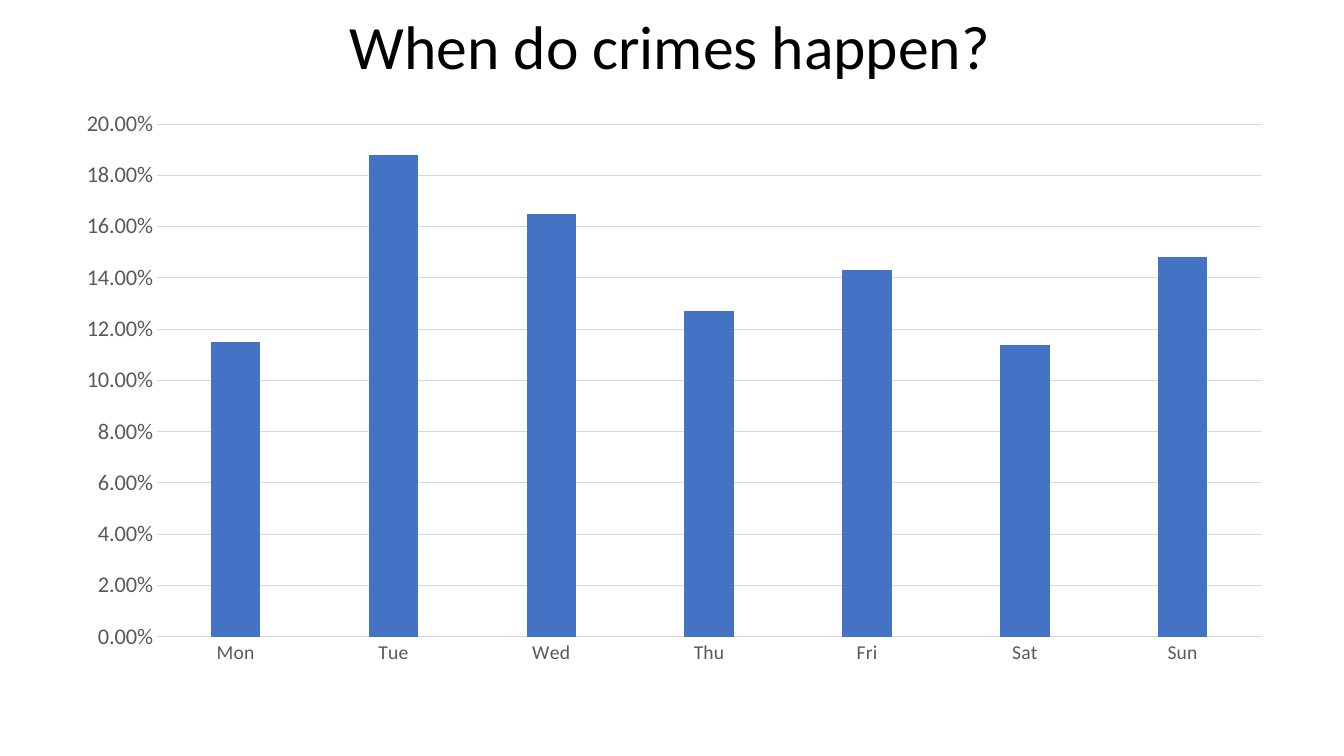
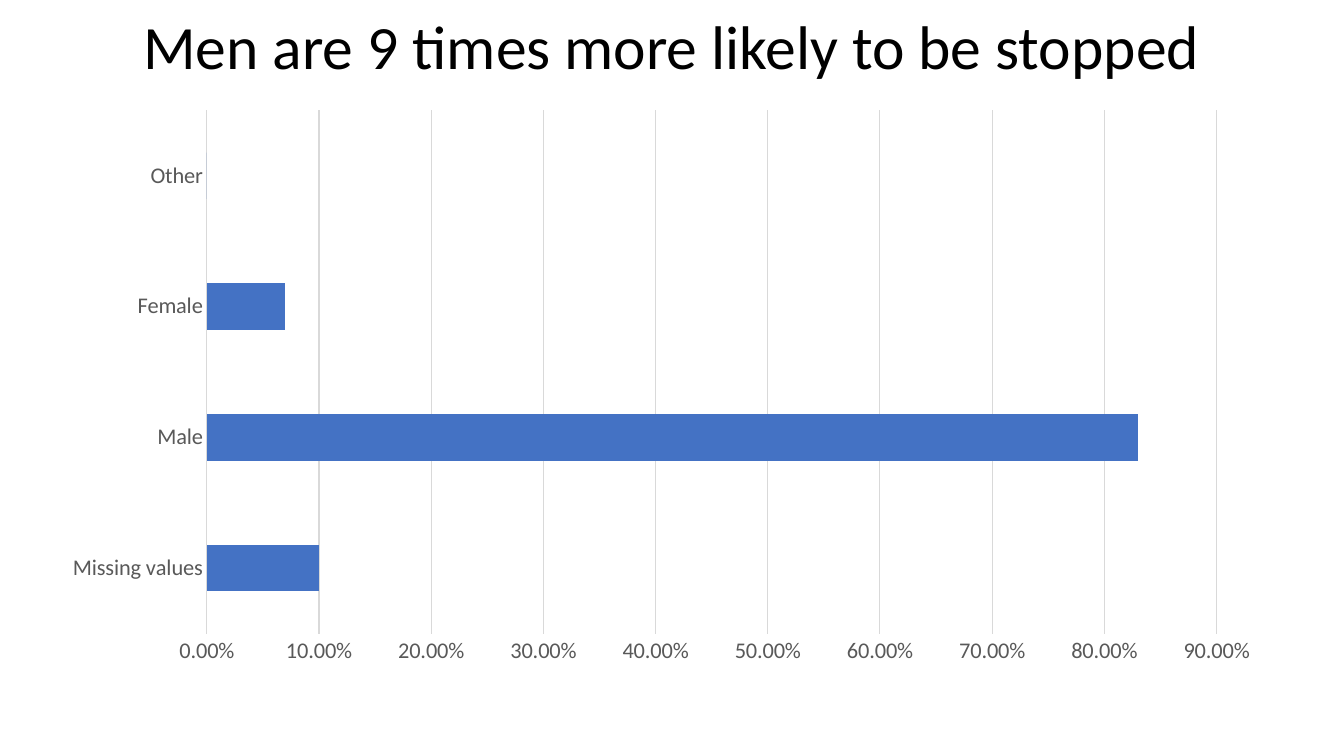
import pptx
import pptx.chart.data
import pptx.dml.color
import pptx.enum.chart
import pptx.enum.text
import pptx.util

Cm, Pt = pptx.util.Cm, pptx.util.Pt
CHART_TYPE = pptx.enum.chart.XL_CHART_TYPE

COLORS = {"title": "000000", "label": "595959", "grid": "D9D9D9", "bar": "4472C4"}
FONT = "Calibri"
SLIDE_W, SLIDE_H = Cm(33.87), Cm(19.05)
BAND_H = Cm(2.49)  # title band, with the chart starting right below it
CHART_H = Cm(14.56)


def rgb(name):
    return pptx.dml.color.RGBColor.from_string(COLORS[name])


def set_attrs(target, values):
    for name, value in values.items():
        setattr(target, name, value)


def style_font(font, size, color):
    set_attrs(font, {"name": FONT, "size": Pt(size), "bold": False})
    font.color.rgb = rgb(color)


def style_line(line):
    line.color.rgb = rgb("grid")
    line.width = Pt(0.75)


def add_title(s, text, left, width):
    """Centred title in the band at the top of the slide."""
    tf = s.shapes.add_textbox(left, 0, width, BAND_H).text_frame
    set_attrs(tf, {"word_wrap": True,
                   "vertical_anchor": pptx.enum.text.MSO_ANCHOR.MIDDLE})
    p = tf.paragraphs[0]
    set_attrs(p, {"alignment": pptx.enum.text.PP_ALIGN.CENTER, "line_spacing": 0.9})
    r = p.add_run()
    r.text = text
    style_font(r.font, 44, "title")


def style_axis(axis, size):
    none = pptx.enum.chart.XL_TICK_MARK.NONE
    set_attrs(axis, {"major_tick_mark": none, "minor_tick_mark": none})
    style_font(axis.tick_labels.font, size, "label")


def add_share_chart(s, kind, left, width, shares, gap, overlap, label_size, top, step):
    """Single-series bar or column chart on a percentage axis."""
    data = pptx.chart.data.CategoryChartData(number_format="0.00%")
    data.categories = list(shares)
    data.add_series("Series 1", list(shares.values()))
    chart = s.shapes.add_chart(kind, left, BAND_H, width, CHART_H, data).chart
    set_attrs(chart, {"has_title": False, "has_legend": False})
    style_font(chart.font, 10, "title")

    # Bars
    plot = chart.plots[0]
    set_attrs(plot, {"gap_width": gap, "overlap": overlap, "vary_by_categories": False})
    fill = plot.series[0].format.fill
    fill.solid()
    fill.fore_color.rgb = rgb("bar")

    # Axes
    style_axis(chart.category_axis, label_size)
    style_line(chart.category_axis.format.line)
    values = chart.value_axis
    style_axis(values, 16)
    set_attrs(values, {"minimum_scale": 0, "maximum_scale": top,
                       "major_unit": step, "has_major_gridlines": True})
    set_attrs(values.tick_labels, {"number_format": "0.00%",
                                   "number_format_is_linked": False})
    values.format.line.fill.background()
    style_line(values.major_gridlines.format.line)


def main():
    prs = pptx.Presentation()
    set_attrs(prs, {"slide_width": SLIDE_W, "slide_height": SLIDE_H})
    blank = prs.slide_layouts[6]

    # Crimes by weekday
    s = prs.slides.add_slide(blank)
    add_title(s, "When do crimes happen?", Cm(2.29), Cm(29.21))
    weekdays = {"Mon": 0.115, "Tue": 0.188, "Wed": 0.165, "Thu": 0.127,
                "Fri": 0.143, "Sat": 0.114, "Sun": 0.148}
    add_share_chart(s, CHART_TYPE.COLUMN_CLUSTERED, Cm(1.57), Cm(30.84), weekdays,
                    gap=219, overlap=-27, label_size=14, top=0.2, step=0.02)

    # Stops by gender
    s = prs.slides.add_slide(blank)
    add_title(s, "Men are 9 times more likely to be stopped", 0, SLIDE_W)
    genders = {"Missing values": 0.1, "Male": 0.83, "Female": 0.07, "Other": 0}
    add_share_chart(s, CHART_TYPE.BAR_CLUSTERED, Cm(1.22), Cm(30.89), genders,
                    gap=182, overlap=0, label_size=16, top=0.9, step=0.1)

    prs.save("out.pptx")


if __name__ == "__main__":
    main()
